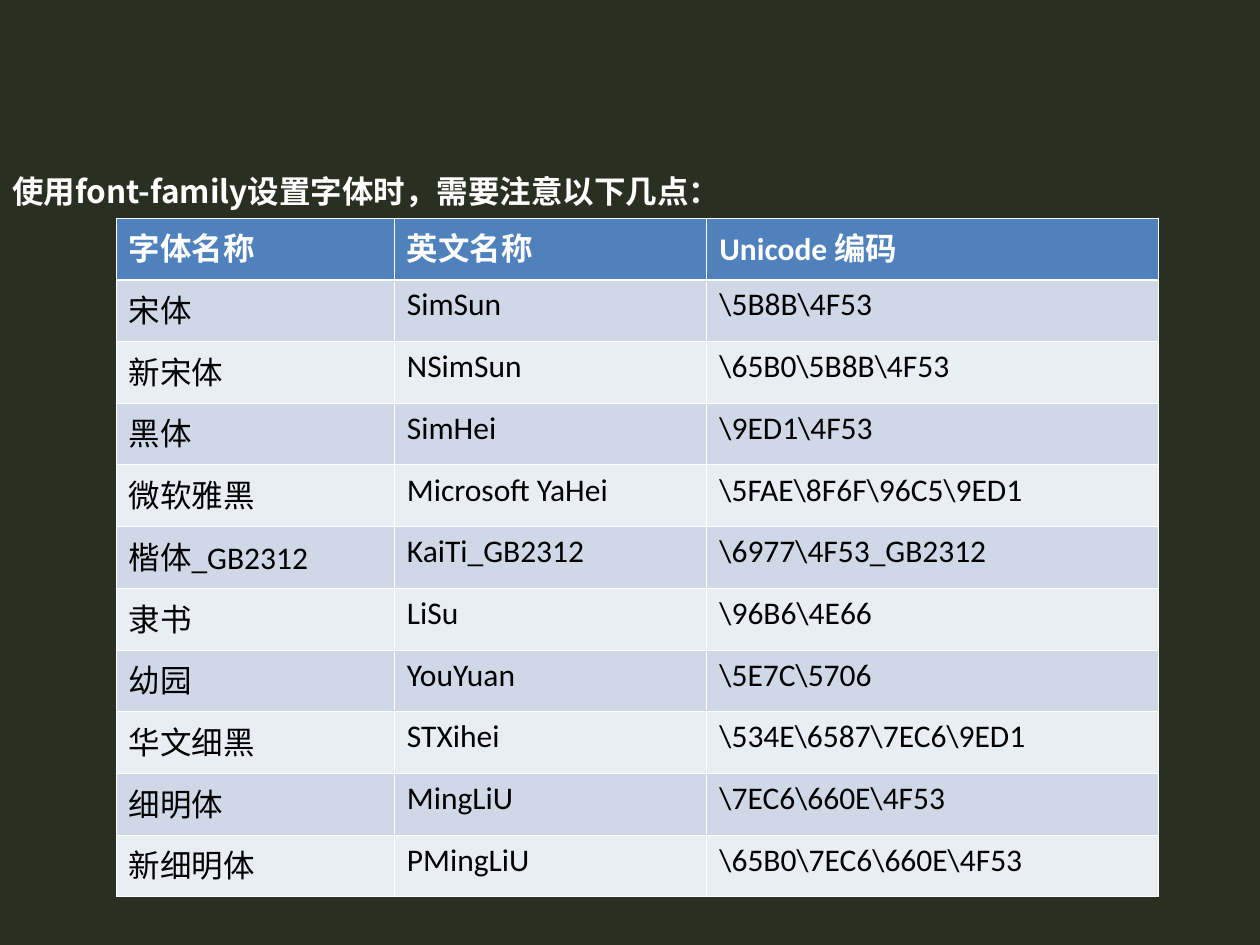
from lxml.etree import SubElement
from pptx import Presentation
from pptx.dml.color import RGBColor
from pptx.oxml.ns import qn
from pptx.util import Inches, Pt

COLORS = {
    "background": "2A2F21",
    "white": "FFFFFF",
    "black": "000000",
    "header": "4F81BD",
    "odd_row": "D0D8E8",
    "even_row": "E9EDF4",
}
LATIN_FONT = "Calibri"
CHINESE_FONT = "Noto Sans CJK SC"
THIN, THICK = Pt(0.45), Pt(1.47)

HEADING = "使用font-family设置字体时，需要注意以下几点："
FONT_ROWS = [
    ("字体名称", "英文名称", "Unicode 编码"),
    ("宋体", "SimSun", r"\5B8B\4F53"),
    ("新宋体", "NSimSun", r"\65B0\5B8B\4F53"),
    ("黑体", "SimHei", r"\9ED1\4F53"),
    ("微软雅黑", "Microsoft YaHei", r"\5FAE\8F6F\96C5\9ED1"),
    ("楷体_GB2312", "KaiTi_GB2312", r"\6977\4F53_GB2312"),
    ("隶书", "LiSu", r"\96B6\4E66"),
    ("幼园", "YouYuan", r"\5E7C\5706"),
    ("华文细黑", "STXihei", r"\534E\6587\7EC6\9ED1"),
    ("细明体", "MingLiU", r"\7EC6\660E\4F53"),
    ("新细明体", "PMingLiU", r"\65B0\7EC6\660E\4F53"),
]
COLUMN_WIDTHS = [2.21, 2.48, 3.58]
ROW_HEIGHT = 0.49


def color(name):
    return RGBColor.from_string(COLORS[name])


def write_text(text_frame, text, font_name, color_name, bold):
    text_frame.text = text
    run = text_frame.paragraphs[0].runs[0]
    run.font.size = Pt(18)
    run.font.bold = bold
    run.font.color.rgb = color(color_name)
    run.font.name = font_name
    # Chinese characters take their own typeface
    SubElement(run.font._element, qn("a:ea"), typeface=CHINESE_FONT)


def add_heading(slide):
    box = slide.shapes.add_textbox(Inches(0), Inches(1.17), Inches(9), Inches(5.53))
    text_frame = box.text_frame
    text_frame.word_wrap = True
    write_text(text_frame, HEADING, CHINESE_FONT, "white", True)
    text_frame.paragraphs[0].line_spacing = 1.5


def set_borders(cell, top, bottom):
    properties = cell._tc.get_or_add_tcPr()
    for side, width in (("L", THIN), ("R", THIN), ("T", top), ("B", bottom)):
        line = SubElement(properties, qn(f"a:ln{side}"), w=str(width))
        fill = SubElement(line, qn("a:solidFill"))
        SubElement(fill, qn("a:srgbClr"), val=COLORS["white"])


def format_cell(cell, text, row_index):
    is_header = row_index == 0
    # The rule below the header is thicker than the rest
    set_borders(cell, THICK if row_index == 1 else THIN, THICK if is_header else THIN)
    cell.fill.solid()
    band = "odd_row" if row_index % 2 else "even_row"
    cell.fill.fore_color.rgb = color("header" if is_header else band)
    text_color = "white" if is_header else "black"
    write_text(cell.text_frame, text, LATIN_FONT, text_color, is_header)


def add_font_table(slide):
    frame = slide.shapes.add_table(
        len(FONT_ROWS), len(COLUMN_WIDTHS), Inches(0.92), Inches(1.73),
        Inches(sum(COLUMN_WIDTHS)), Inches(ROW_HEIGHT * len(FONT_ROWS)))
    table = frame.table
    for column, width in zip(table.columns, COLUMN_WIDTHS):
        column.width = Inches(width)
    for row_index, texts in enumerate(FONT_ROWS):
        table.rows[row_index].height = Inches(ROW_HEIGHT)
        for column_index, text in enumerate(texts):
            format_cell(table.cell(row_index, column_index), text, row_index)


def main():
    presentation = Presentation()
    presentation.slide_width = Inches(10)
    presentation.slide_height = Inches(7.5)
    slide = presentation.slides.add_slide(presentation.slide_layouts[6])

    # Background
    slide.background.fill.solid()
    slide.background.fill.fore_color.rgb = color("background")

    # Content
    add_heading(slide)
    add_font_table(slide)
    presentation.save("out.pptx")


if __name__ == "__main__":
    main()
